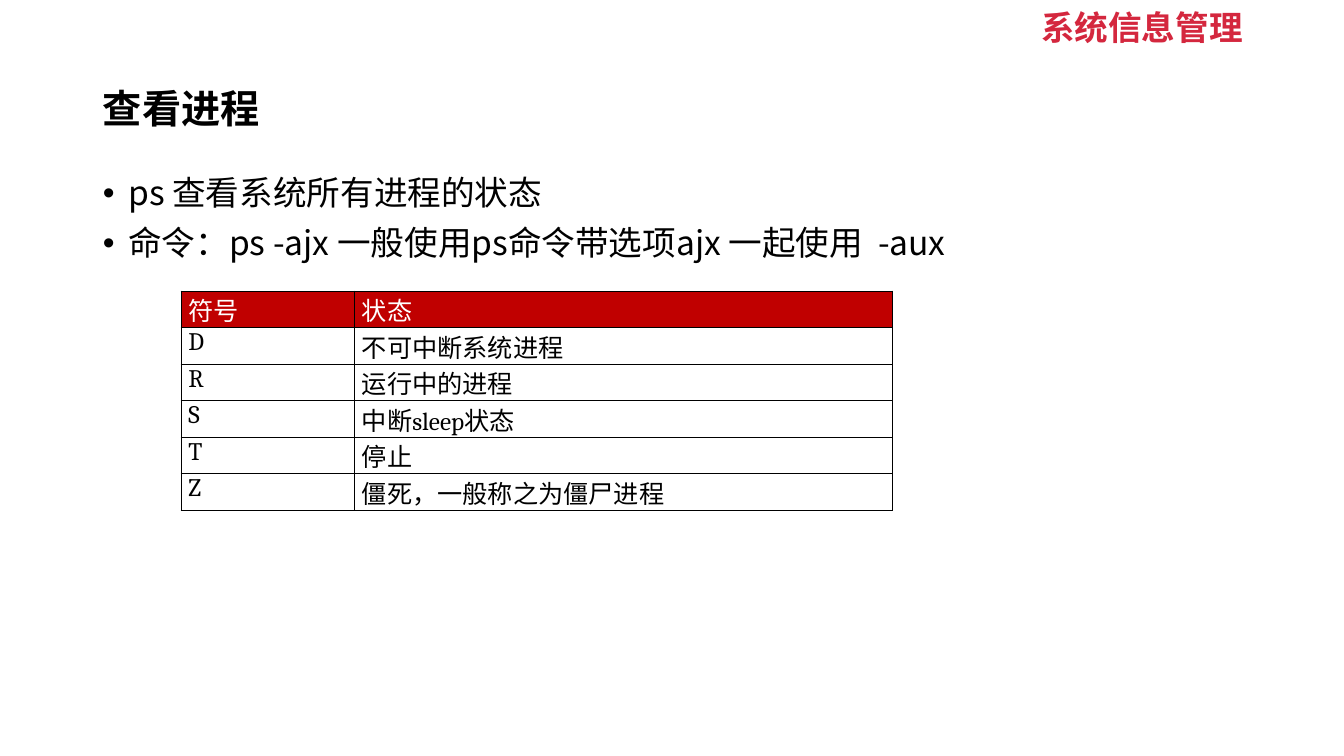
from dataclasses import dataclass
from itertools import groupby

from lxml import etree
from pptx import Presentation
from pptx.dml.color import RGBColor
from pptx.enum.text import MSO_ANCHOR, MSO_AUTO_SIZE, PP_ALIGN
from pptx.oxml.ns import qn
from pptx.util import Cm, Pt

LEFT, RIGHT = PP_ALIGN.LEFT, PP_ALIGN.RIGHT
TOP, MIDDLE, BOTTOM = MSO_ANCHOR.TOP, MSO_ANCHOR.MIDDLE, MSO_ANCHOR.BOTTOM
FIXED = MSO_AUTO_SIZE.NONE


@dataclass(frozen=True)
class Theme:
    ink: str = "000000"
    paper: str = "FFFFFF"
    tag: str = "D4273E"
    head: str = "C00000"
    han: str = "Noto Sans CJK SC"
    latin: str = "Cambria"
    title_size: int = 28
    body_size: int = 24
    cell_size: int = 18


THEME = Theme()
POINTS = [
    "ps 查看系统所有进程的状态",
    "命令：ps -ajx 一般使用ps命令带选项ajx 一起使用  -aux",
]
STATES = [
    ("符号", "状态"),
    ("D", "不可中断系统进程"),
    ("R", "运行中的进程"),
    ("S", "中断sleep状态"),
    ("T", "停止"),
    ("Z", "僵死，一般称之为僵尸进程"),
]


def style(run, size, color, face=THEME.han, bold=False):
    font = run.font
    font.size, font.bold, font.name = Pt(size), bold, face
    font.color.rgb = RGBColor.from_string(color)
    etree.SubElement(run._r.get_or_add_rPr(), qn("a:ea")).set("typeface", face)


def fill_holder(shape, box, lines, size, color, bold, align, anchor, gap=0):
    shape.left, shape.top, shape.width, shape.height = map(Cm, box)
    frame = shape.text_frame
    frame.text = "\n".join(lines)
    frame.word_wrap, frame.auto_size = True, FIXED
    frame.vertical_anchor = anchor
    for para in frame.paragraphs:
        para.alignment, para.line_spacing = align, 0.9
        para.space_before = Pt(gap)
        for run in para.runs:
            style(run, size, color, bold=bold)


def set_bullet(para, mark=None):
    props = para._p.get_or_add_pPr()
    indent = Cm(0.64) if mark else 0
    props.set("marL", str(indent))
    props.set("indent", str(-indent))
    if mark:
        etree.SubElement(props, qn("a:buFont")).set("typeface", "Arial")
        etree.SubElement(props, qn("a:buChar")).set("char", mark)
    else:
        etree.SubElement(props, qn("a:buNone"))


def add_title(slide, box):
    fill_holder(slide.shapes.title, box, ["查看进程"], THEME.title_size,
                THEME.ink, True, LEFT, MIDDLE)


def add_list(shape, box):
    fill_holder(shape, box, POINTS, THEME.body_size, THEME.ink,
                False, LEFT, TOP, 10)
    for para in shape.text_frame.paragraphs:
        set_bullet(para, "•")


def add_tag(shape, box):
    fill_holder(shape, box, ["系统信息管理"], THEME.body_size, THEME.tag,
                True, RIGHT, MIDDLE, 10)
    set_bullet(shape.text_frame.paragraphs[0])


def add_border(cell):
    props = cell._tc.get_or_add_tcPr()
    for side in ("lnL", "lnR", "lnT", "lnB"):
        line = etree.SubElement(props, qn(f"a:{side}"), w=str(Pt(1)))
        paint = etree.SubElement(line, qn("a:solidFill"))
        etree.SubElement(paint, qn("a:srgbClr"), val=THEME.ink)


def fill_cell(cell, text, head):
    cell.margin_left = cell.margin_right = Cm(0.18)
    cell.margin_top = cell.margin_bottom = 0
    cell.vertical_anchor = BOTTOM if head else TOP
    add_border(cell)
    if head:
        cell.fill.solid()
        cell.fill.fore_color.rgb = RGBColor.from_string(THEME.head)
    else:
        cell.fill.background()
    para = cell.text_frame.paragraphs[0]
    para.space_before = para.space_after = Pt(1.8)
    for plain, chars in groupby(text, str.isascii):
        run = para.add_run()
        run.text = "".join(chars)
        style(run, THEME.cell_size, THEME.paper if head else THEME.ink,
              THEME.latin if plain else THEME.han)


def add_states(slide, box):
    left, top, width, height = map(Cm, box)
    table = slide.shapes.add_table(len(STATES), 2, left, top,
                                   width, height).table
    table.first_row = table.horz_banding = False
    table.columns[0].width = Cm(4.37)
    table.columns[1].width = width - Cm(4.37)
    for r, row in enumerate(STATES):
        for c, text in enumerate(row):
            fill_cell(table.cell(r, c), text, r == 0)


def main():
    deck = Presentation()
    deck.slide_width, deck.slide_height = Cm(33.87), Cm(19.05)
    slide = deck.slides.add_slide(deck.slide_layouts[3])
    add_list(slide.placeholders[1], (2.34, 4.32, 29.21, 12.85))
    add_title(slide, (2.34, 1.5, 29.21, 2.57))
    add_tag(slide.placeholders[2], (24.38, 0, 7.19, 1.5))
    add_states(slide, (4.57, 7.34, 17.93, 5.52))
    deck.save("out.pptx")


if __name__ == "__main__":
    main()
